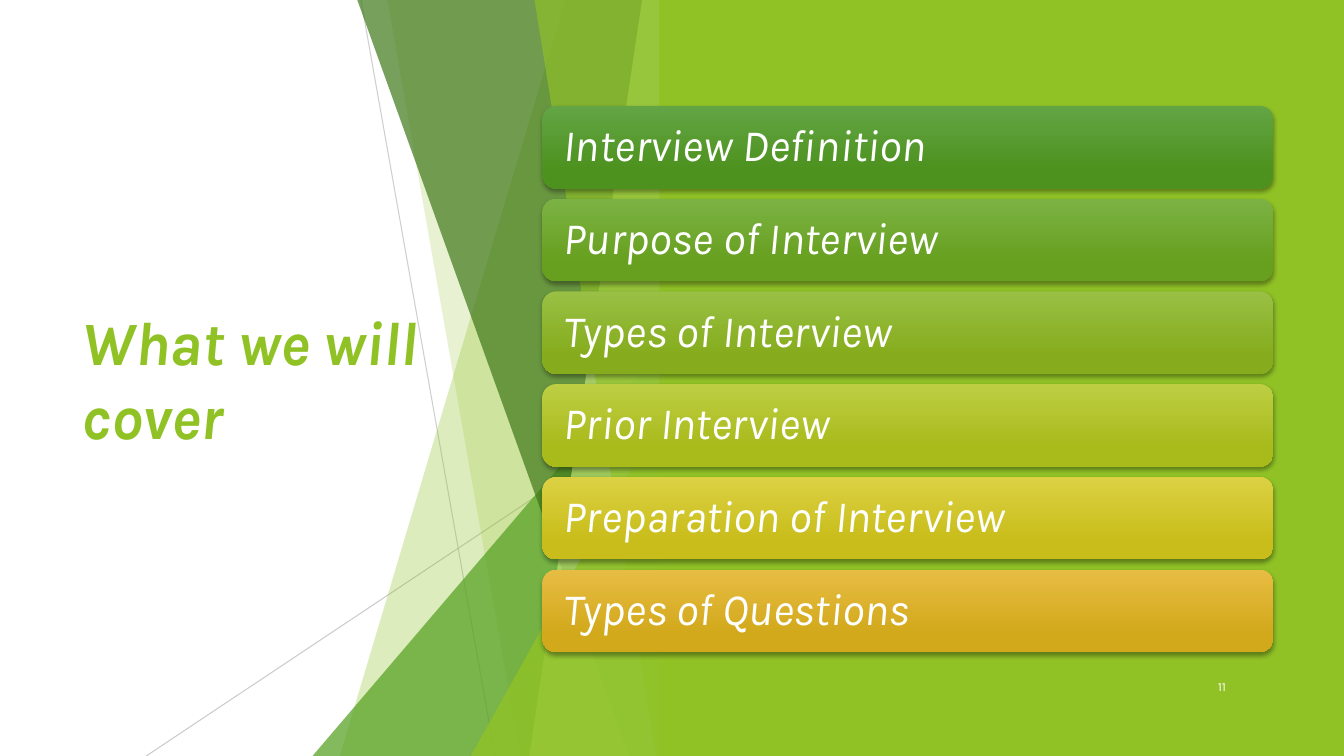
from pptx import Presentation
from pptx.dml.color import RGBColor
from pptx.enum.shapes import MSO_CONNECTOR as Connector, MSO_SHAPE as Shape
from pptx.enum.text import MSO_ANCHOR as Anchor, MSO_AUTO_SIZE as AutoSize, PP_ALIGN as Align
from pptx.oxml import parse_xml
from pptx.oxml.ns import nsdecls, qn
from pptx.util import Pt

SCALE = 9144  # EMU per px, 100 px to the inch
WIDTH, HEIGHT = 1333, 750
FONT = "Karla"
LIME, GREEN, WHITE, GREY = "90C226", "54A021", "FFFFFF", "BFBFBF"

TOPICS = [
    ("Interview Definition", "63A545", "4D921E"),
    ("Purpose of Interview", "7BB244", "679F1E"),
    ("Types of Interview", "99C044", "86AC1D"),
    ("Prior Interview", "BDCE43", "A9BA1B"),
    ("Preparation of Interview", "DCD143", "C8BD1A"),
    ("Types of Questions", "E7BC43", "D2A91B"),
]

# Bands: top and bottom x of the slanted edge, colour, opacity
BACK_BANDS = [(224, 0, LIME, 30), (47, 179, LIME, 20)]
FRONT_BANDS = [(17, 287, "3F7819", 70), (300, 188, "C0E474", 70), (193, 314, LIME, 65)]


def px(value):
    return round(value * SCALE)


def colour(hex_code):
    return RGBColor.from_string(hex_code)


def set_opacity(shape, percent):
    tint = next(shape.element.iter(qn("a:srgbClr")))
    tint.append(parse_xml(f'<a:alpha {nsdecls("a")} val="{percent * 1000}"/>'))


def paint(shape, hex_code, opacity=100):
    shape.shadow.inherit = False
    shape.line.fill.background()
    shape.fill.solid()
    shape.fill.fore_color.rgb = colour(hex_code)
    if opacity < 100:
        set_opacity(shape, opacity)


def add_shape(page, kind, left, top, width, height):
    return page.shapes.add_shape(kind, px(left), px(top), px(width), px(height))


def write(frame, text, size, hex_code, bold=False, italic=False, align=Align.LEFT):
    frame.text = text
    frame.word_wrap = True
    frame.auto_size = AutoSize.NONE
    frame.vertical_anchor = Anchor.MIDDLE
    para = frame.paragraphs[0]
    para.alignment = align
    para.space_after = Pt(6)
    font = para.runs[0].font
    font.name, font.size, font.bold, font.italic = FONT, Pt(size), bold, italic
    font.color.rgb = colour(hex_code)
    return para


def add_title(page, left, top, width, height):
    title = page.shapes.title
    title.left, title.top, title.width, title.height = map(px, (left, top, width, height))
    write(title.text_frame, "What we will cover", 44, LIME, bold=True, italic=True)


def add_facets(page, left, top, width, height):
    """Thin lines and translucent bands that meet the right edge of the box."""
    right, bottom = left + width, top + height

    def thin_line(start_x, start_y, end_x, opacity):
        line = page.shapes.add_connector(
            Connector.STRAIGHT, px(left + start_x), px(top + start_y), px(left + end_x), px(bottom))
        line.line.color.rgb = colour(GREY)
        line.line.width = Pt(0.75)
        set_opacity(line, opacity)
        line.element.spPr.append(parse_xml(f'<a:effectLst {nsdecls("a")}/>'))

    def band(top_x, bottom_x, hex_code, opacity):
        outline = page.shapes.build_freeform(left + top_x, top - 1, SCALE)
        outline.add_line_segments(
            [(right, top - 1), (right, bottom), (left + bottom_x, bottom)], close=True)
        paint(outline.convert_to_shape(), hex_code, opacity)

    def corner(corner_width, corner_height, hex_code, opacity):
        triangle = add_shape(page, Shape.ISOSCELES_TRIANGLE, right - corner_width,
                             bottom - corner_height, corner_width, corner_height)
        triangle.adjustments[0] = 1
        paint(triangle, hex_code, opacity)

    thin_line(21, 0, 154, 75)
    thin_line(width, 403, -192, 80)
    for edge in BACK_BANDS:
        band(*edge)
    corner(356, 417, GREEN, 72)
    for edge in FRONT_BANDS:
        band(*edge)
    corner(199, 357, LIME, 80)


def add_topic_bar(page, topic, left, top, width, height):
    text, light, dark = topic
    bar = add_shape(page, Shape.ROUNDED_RECTANGLE, left, top, width, height)
    bar.line.fill.background()

    # Top-to-bottom gradient
    bar.fill.gradient()
    bar.fill.gradient_angle = 270
    for stop, hex_code, position in zip(bar.fill.gradient_stops, (light, dark), (0, 0.78)):
        stop.color.rgb = colour(hex_code)
        stop.position = position

    # Soft shadow below
    bar.shadow.inherit = False
    bar.element.spPr.find(qn("a:effectLst")).append(parse_xml(
        f'<a:outerShdw {nsdecls("a")} blurRad="{Pt(3)}" dist="{Pt(2)}" dir="5400000" rotWithShape="0">'
        '<a:srgbClr val="000000"><a:alpha val="35000"/></a:srgbClr></a:outerShdw>'))

    frame = bar.text_frame
    frame.margin_left = frame.margin_right = frame.margin_top = frame.margin_bottom = px(17)
    para = write(frame, text, 32, WHITE, italic=True)
    para.line_spacing = 0.9
    para.space_after = Pt(0)


def add_topics(page, left, top, width, height, gap=10):
    bar_height = (height - gap * (len(TOPICS) - 1)) / len(TOPICS)
    for index, topic in enumerate(TOPICS):
        add_topic_bar(page, topic, left, top + index * (bar_height + gap), width, bar_height)


def add_page_number(page, left, top, width, height):
    box = page.shapes.add_textbox(px(left), px(top), px(width), px(height))
    write(box.text_frame, "11", 9, WHITE, align=Align.RIGHT)


def main():
    deck = Presentation()
    deck.slide_width, deck.slide_height = px(WIDTH), px(HEIGHT)
    page = deck.slides.add_slide(deck.slide_layouts[5])

    add_title(page, 71, 151, 388, 448)
    add_facets(page, 337, 0, 329, HEIGHT)
    paint(add_shape(page, Shape.RECTANGLE, 654, 0, WIDTH - 654, HEIGHT), LIME)
    add_page_number(page, 1151, 661, 75, 40)
    add_topics(page, 538, 105, 725, 542)

    deck.save("out.pptx")


if __name__ == "__main__":
    main()
